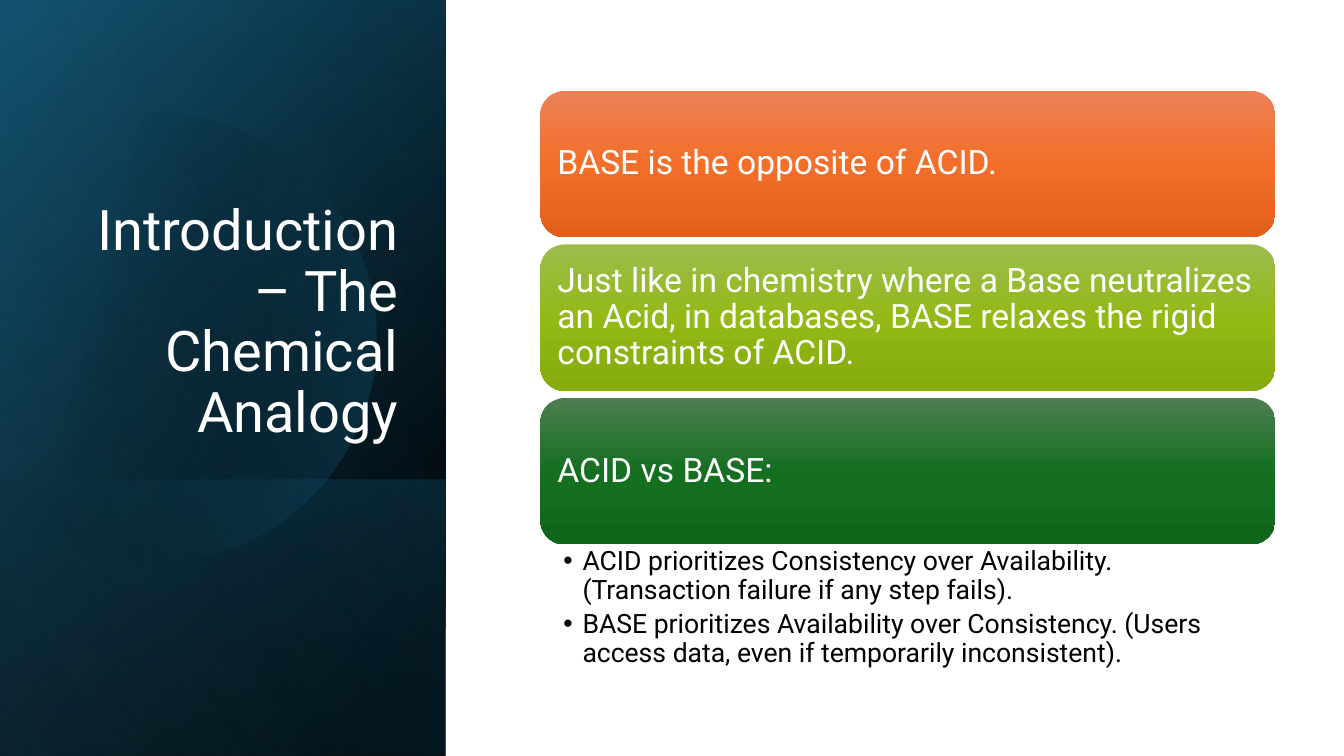
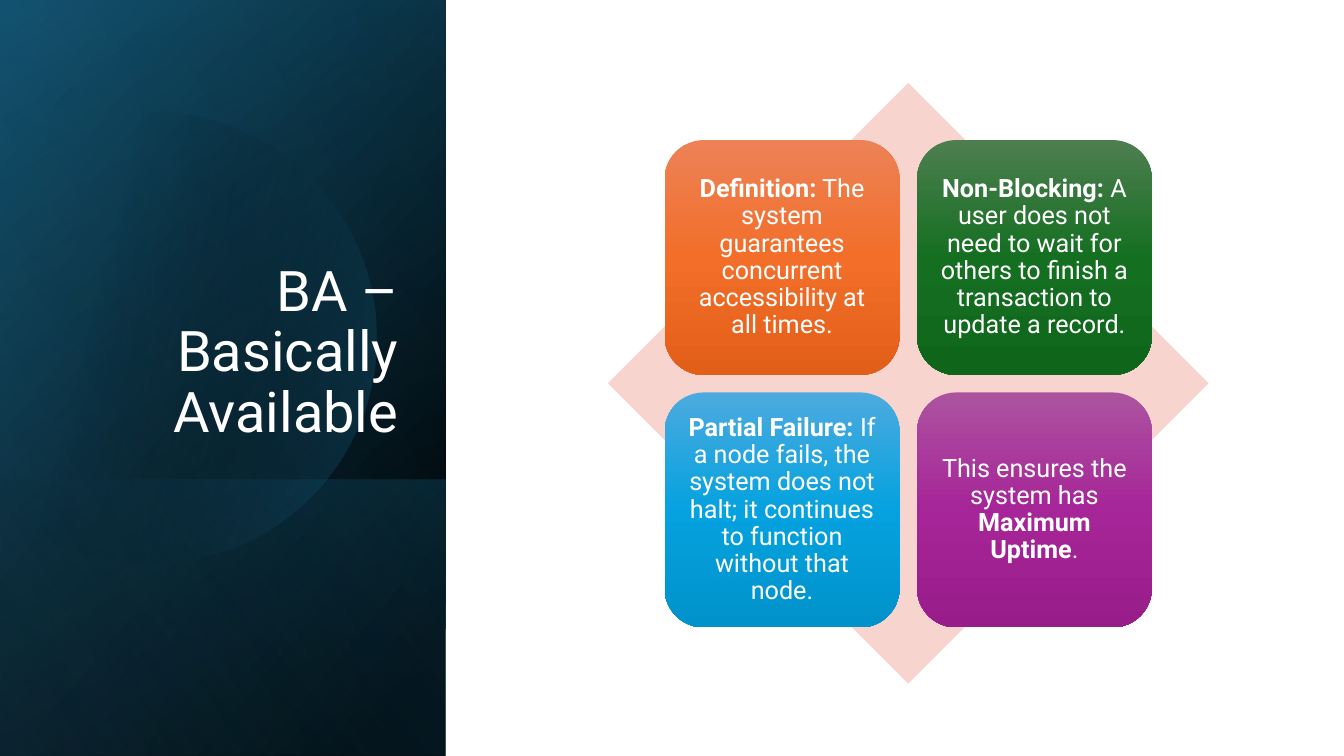
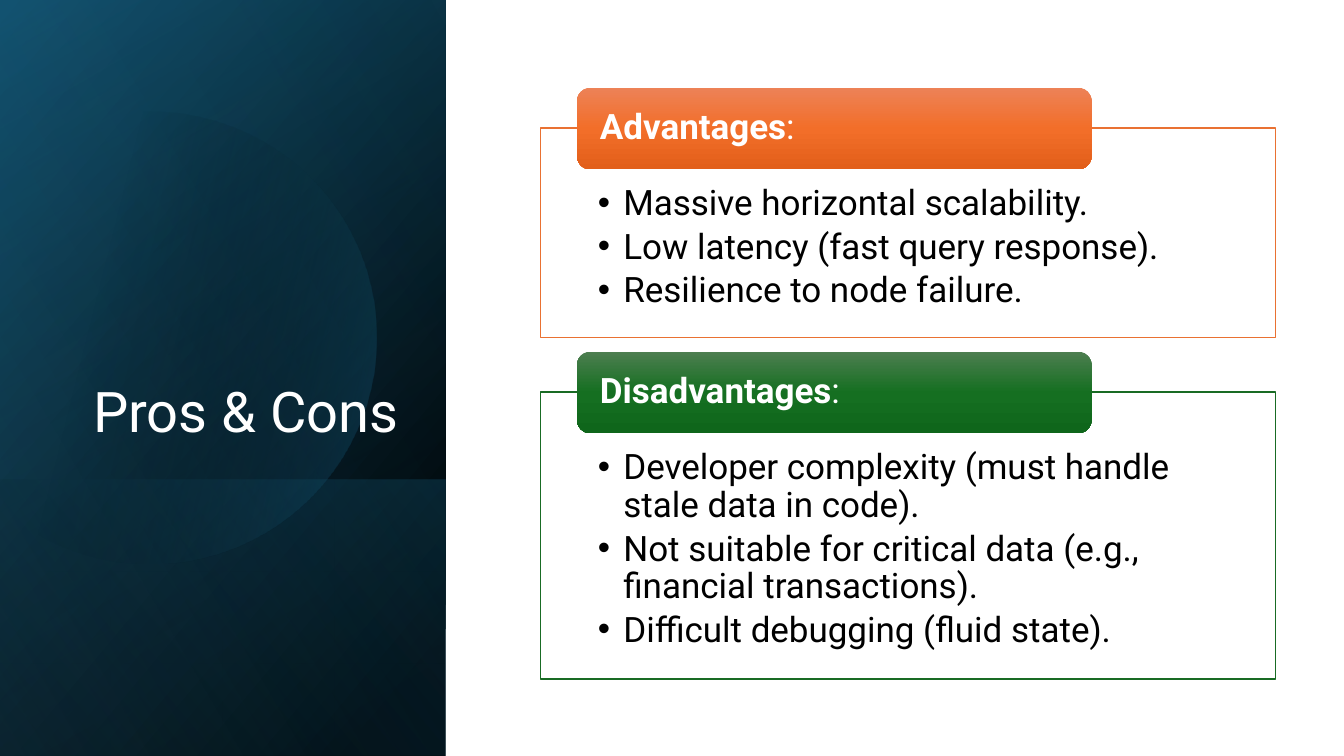
from math import acos, cos, pi, sin

from pptx import Presentation
from pptx.dml.color import RGBColor
from pptx.enum.shapes import MSO_SHAPE
from pptx.enum.text import MSO_ANCHOR, MSO_AUTO_SIZE, PP_ALIGN
from pptx.oxml import parse_xml
from pptx.oxml.ns import nsdecls, qn
from pptx.util import Cm, Pt

FONT = "Roboto"
WHITE = RGBColor(0xFF, 0xFF, 0xFF)
BLACK = RGBColor(0x00, 0x00, 0x00)
NAVY = RGBColor(0x10, 0x48, 0x62)
TEAL = RGBColor(0x15, 0x60, 0x82)
SKY = RGBColor(0x46, 0xB1, 0xE1)
PINK = RGBColor(0xF7, 0xD5, 0xCE)
ORANGE_LINE = RGBColor(0xE9, 0x71, 0x32)
GREEN_LINE = RGBColor(0x19, 0x6B, 0x24)

# Top, middle and bottom colours of the filled boxes
ORANGE = (RGBColor(0xED, 0x82, 0x57), RGBColor(0xF2, 0x6E, 0x29), RGBColor(0xE2, 0x5F, 0x1A))
LIME = (RGBColor(0x9C, 0xBD, 0x4E), RGBColor(0x92, 0xB9, 0x16), RGBColor(0x85, 0xAB, 0x0D))
GREEN = (RGBColor(0x4D, 0x7E, 0x50), RGBColor(0x15, 0x6F, 0x21), RGBColor(0x0F, 0x66, 0x1B))
BLUE = (RGBColor(0x4C, 0xAA, 0xDF), RGBColor(0x05, 0xA2, 0xDF), RGBColor(0x00, 0x92, 0xCB))
PURPLE = (RGBColor(0xAC, 0x53, 0xA0), RGBColor(0xA6, 0x25, 0x98), RGBColor(0x99, 0x1C, 0x8B))

# Layouts of the default template
TITLE_CONTENT, TWO_CONTENT, TITLE_ONLY = 1, 3, 5

# Slide and column measures in cm
SLIDE_W, SLIDE_H = 33.87, 19.05
PANEL_W = 11.23
COLUMN_X, COLUMN_W = 13.62, 18.52


class Deck:
    def __init__(self):
        self.prs = Presentation()
        self.prs.slide_width, self.prs.slide_height = Cm(SLIDE_W), Cm(SLIDE_H)
        self.s = None

    def slide(self, layout, title):
        self.s = self.prs.slides.add_slide(self.prs.slide_layouts[layout])
        self.panel()
        tf = self.placeholder(0, (1.63, 4.67, 8.66, 6.65)).text_frame
        tf.vertical_anchor = MSO_ANCHOR.BOTTOM
        tf.text = title
        self.style(tf.paragraphs[0], 40, WHITE, PP_ALIGN.RIGHT)

    def panel(self):
        """Dark side panel: layered gradients and a faint disc."""
        full = (0, 0, PANEL_W, SLIDE_H)
        self.layer(full, 220, [(8, BLACK, 100), (100, NAVY, 100)])
        self.layer(full, 240, [(0, BLACK, 0), (99, TEAL, 46)])
        self.layer((0, 12.09, PANEL_W, SLIDE_H - 12.09), 140, [(2, TEAL, 29), (100, BLACK, 30)])
        self.disc(3.78, 8.51, 5.7)
        self.layer(full, 150, [(0, BLACK, 0), (99, SKY, 11)])

    def layer(self, box, angle, stops):
        self.gradient(self.shape(MSO_SHAPE.RECTANGLE, box), angle, stops)

    def disc(self, cx, cy, radius, steps=120):
        """Circle cut off at the left edge of the slide."""
        end = acos(-cx / radius)
        angles = [-end + 2 * end * i / steps for i in range(steps + 1)]
        points = [(Cm(cx + radius * cos(a)), Cm(cy + radius * sin(a))) for a in angles]
        builder = self.s.shapes.build_freeform(*points[0])
        builder.add_line_segments(points[1:], close=True)
        sp = self.plain(builder.convert_to_shape())
        self.gradient(sp, 14, [(29, BLACK, 0), (100, TEAL, 43)])

    def plain(self, sp):
        sp.shadow.inherit = False
        sp.line.fill.background()
        return sp

    def shape(self, kind, box):
        return self.plain(self.s.shapes.add_shape(kind, *map(Cm, box)))

    def gradient(self, sp, angle, stops):
        """Stops are (position %, colour, opacity %)."""
        gs = "".join(
            f'<a:gs pos="{pos * 1000}"><a:srgbClr val="{colour}">'
            f'<a:alpha val="{alpha * 1000}"/></a:srgbClr></a:gs>'
            for pos, colour, alpha in stops)
        sp.fill.background()
        spPr = sp._element.spPr
        spPr.replace(spPr.find(qn("a:noFill")), parse_xml(
            f'<a:gradFill {nsdecls("a")} rotWithShape="1"><a:gsLst>{gs}</a:gsLst>'
            f'<a:lin ang="{angle * 60000}" scaled="0"/></a:gradFill>'))

    def diamond(self, box):
        sp = self.shape(MSO_SHAPE.DIAMOND, box)
        sp.fill.solid()
        sp.fill.fore_color.rgb = PINK

    def card(self, box, colours, runs, size, insets, align=PP_ALIGN.LEFT):
        """Rounded box; runs are (text, bold)."""
        sp = self.shape(MSO_SHAPE.ROUNDED_RECTANGLE, box)
        self.gradient(sp, 90, [(pos, c, 100) for pos, c in zip((0, 50, 100), colours)])
        tf = sp.text_frame
        tf.word_wrap = True
        tf.vertical_anchor = MSO_ANCHOR.MIDDLE
        self.margins(tf, insets)
        p = tf.paragraphs[0]
        for text, bold in runs:
            r = p.add_run()
            r.text = text
            r.font.bold = bold
        self.style(p, size, WHITE, align)

    def placeholder(self, idx, box):
        """Moves a template placeholder into place, in front of what is drawn."""
        sp = self.s.placeholders[idx]
        sp.left, sp.top, sp.width, sp.height = map(Cm, box)
        self.s.shapes._spTree.append(sp._element)
        sp.text_frame.word_wrap = True
        sp.text_frame.auto_size = MSO_AUTO_SIZE.NONE
        return sp

    def bullets(self, idx, box, items, size, insets, indent, frame=None):
        sp = self.placeholder(idx, box)
        if frame is not None:
            sp.fill.solid()
            sp.fill.fore_color.rgb = WHITE
            sp.line.color.rgb = frame
            sp.line.width = Pt(1)
        tf = sp.text_frame
        tf.vertical_anchor = MSO_ANCHOR.TOP
        self.margins(tf, insets)
        tf.text = "\n".join(items)
        for p in tf.paragraphs:
            pPr = p._p.get_or_add_pPr()
            pPr.set("marL", str(Cm(indent)))
            pPr.set("indent", str(-Cm(indent)))
            self.style(p, size, BLACK, PP_ALIGN.LEFT)
            p.space_after = Pt(4)

    def margins(self, tf, insets):
        tf.margin_left, tf.margin_top, tf.margin_right, tf.margin_bottom = map(Cm, insets)

    def style(self, p, size, colour, align):
        p.alignment = align
        p.line_spacing = 0.9
        p.space_before = Pt(0)
        for r in p.runs:
            r.font.name = FONT
            r.font.size = Pt(size)
            r.font.color.rgb = colour


def analogy(deck):
    deck.slide(TITLE_CONTENT, "Introduction – The Chemical Analogy")
    cards = [
        (ORANGE, "BASE is the opposite of ACID."),
        (LIME, "Just like in chemistry where a Base neutralizes an Acid, "
               "in databases, BASE relaxes the rigid constraints of ACID."),
        (GREEN, "ACID vs BASE:"),
    ]
    for i, (colours, text) in enumerate(cards):
        deck.card((COLUMN_X, 2.29 + 3.87 * i, COLUMN_W, 3.69), colours,
                  [(text, False)], 24, [0.25] * 4)
    deck.bullets(1, (COLUMN_X, 13.72, COLUMN_W, 3.3), [
        "ACID prioritizes Consistency over Availability. "
        "(Transaction failure if any step fails).",
        "BASE prioritizes Availability over Consistency. "
        "(Users access data, even if temporarily inconsistent).",
    ], 19, (0.58, 0.08, 0.48, 0.08), 0.48)


def availability(deck):
    deck.slide(TITLE_ONLY, "BA – Basically Available")
    deck.diamond((15.32, 2.09, 15.14, 15.14))
    tiles = [
        (ORANGE, [("Definition:", True),
                  (" The system guarantees concurrent accessibility at all times.", False)]),
        (GREEN, [("Non-Blocking:", True),
                 (" A user does not need to wait for others to finish "
                  "a transaction to update a record.", False)]),
        (BLUE, [("Partial Failure: ", True),
                ("If a node fails, the system does not halt; "
                 "it continues to function without that node.", False)]),
        (PURPLE, [("This ensures the system has ", False),
                  ("Maximum Uptime", True), (".", False)]),
    ]
    size, step = 5.92, 6.36
    for i, (colours, runs) in enumerate(tiles):
        row, col = divmod(i, 2)
        deck.card((16.75 + step * col, 3.53 + step * row, size, size),
                  colours, runs, 18, [0.18] * 4, PP_ALIGN.CENTER)


def pros_cons(deck):
    deck.slide(TWO_CONTENT, "Pros & Cons")
    groups = [
        ("Advantages", ORANGE, ORANGE_LINE, 3.23, 5.27, [
            "Massive horizontal scalability.",
            "Low latency (fast query response).",
            "Resilience to node failure."]),
        ("Disadvantages", GREEN, GREEN_LINE, 9.88, 7.23, [
            "Developer complexity (must handle stale data in code).",
            "Not suitable for critical data (e.g., financial transactions).",
            "Difficult debugging (fluid state)."]),
    ]
    for idx, (name, colours, line, top, height, items) in enumerate(groups, 1):
        deck.bullets(idx, (COLUMN_X, top, COLUMN_W, height), items, 25,
                     (1.45, 1.45, 1.45, 0.48), 0.64, line)
        deck.card((14.54, top - 1.02, 12.97, 2.06), colours,
                  [(name, True), (":", False)], 25, (0.48, 0, 0.48, 0))


def main():
    deck = Deck()
    analogy(deck)
    availability(deck)
    pros_cons(deck)
    deck.prs.save("out.pptx")


if __name__ == "__main__":
    main()
